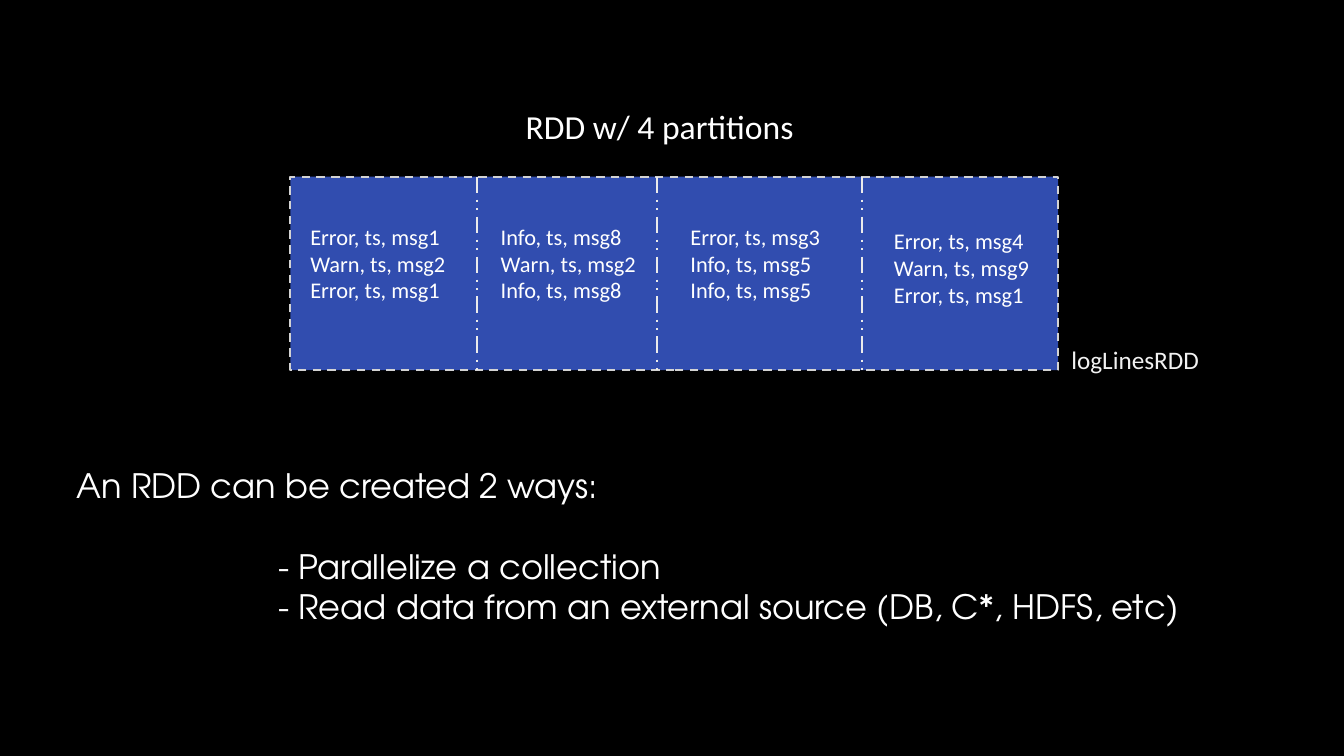
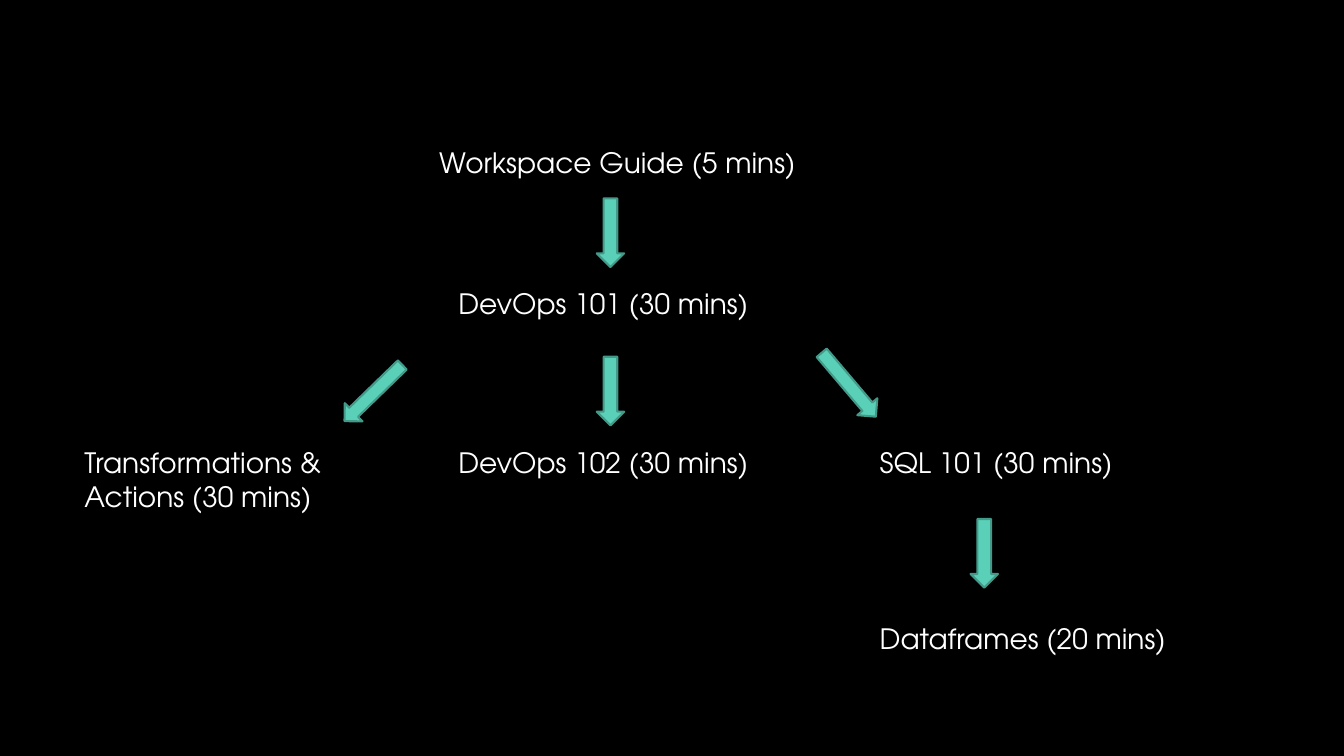
from pptx import Presentation
from pptx.dml.color import RGBColor
from pptx.enum.dml import MSO_LINE_DASH_STYLE as Dash
from pptx.enum.shapes import MSO_CONNECTOR as Connector, MSO_SHAPE as Shape
from pptx.enum.text import MSO_AUTO_SIZE as AutoSize
from pptx.oxml.ns import qn
from pptx.util import Cm, Pt
from lxml.etree import SubElement

COLORS = {
    "background": "000000", "text": "FFFFFF", "name": "F2F2F2",
    "rdd": "314DAF", "rdd_line": "D3D3D3", "divider": "EBEBEB",
    "arrow": "5AD0B8", "arrow_line": "439A88",
}
FORMATS = {
    "heading": {"name": "Calibri", "size": Pt(24)},
    "record": {"name": "Calibri", "size": Pt(16)},
    "name": {"name": "Calibri", "size": Pt(18)},
    "body": {"name": "TeX Gyre Adventor", "size": Pt(24)},
    "step": {"name": "TeX Gyre Adventor", "size": Pt(20)},
}

RDD = (7.32, 4.45, 19.35, 4.88)
DIVIDERS = [12.01, 16.56, 21.72]
PARTITIONS = [
    (7.57, 5.49, ["Error, ts, msg1", "Warn, ts, msg2", "Error, ts, msg1"]),
    (12.37, 5.49, ["Info, ts, msg8", "Warn, ts, msg2", "Info, ts, msg8"]),
    (17.15, 5.49, ["Error, ts, msg3", "Info, ts, msg5", "Info, ts, msg5"]),
    (22.28, 5.61, ["Error, ts, msg4", "Warn, ts, msg9", "Error, ts, msg1"]),
]
WAYS_TITLE = "An RDD can be created 2 ways:"
WAYS = ["- Parallelize a collection", "- Read data from an external source (DB, C*, HDFS, etc)"]

STEPS = [
    (10.82, 3.53, ["Workspace Guide (5 mins)"]),
    (11.3, 7.09, ["DevOps 101 (30 mins)"]),
    (11.3, 11.1, ["DevOps 102 (30 mins)"]),
    (1.88, 11.1, ["Transformations &", "Actions (30 mins)"]),
    (21.92, 11.1, ["SQL 101 (30 mins)"]),
    (21.92, 15.54, ["Dataframes (20 mins)"]),
]
DOWN = (0.69, 1.73, 0)
ARROWS = [
    (15.04, 5, *DOWN),
    (15.04, 8.99, *DOWN),
    (24.46, 13.08, *DOWN),
    (9.09, 8.89, 0.64, 2.03, 45.8),
    (21.06, 8.64, 0.66, 2.11, 319.7),
]


def color(name):
    return RGBColor.from_string(COLORS[name])


def set_line(line, line_color, dash=None):
    line.color.rgb = color(line_color)
    for attribute, value in {"width": Pt(1.5), "dash_style": dash}.items():
        setattr(line, attribute, value)


def add_text(slide, left, top, width, height, lines, style, text_color="text"):
    box = slide.shapes.add_textbox(Cm(left), Cm(top), Cm(width), Cm(height))
    frame = box.text_frame
    frame.word_wrap = True
    frame.auto_size = AutoSize.SHAPE_TO_FIT_TEXT
    frame.text = "\n".join(lines)
    for paragraph in frame.paragraphs:
        for run in paragraph.runs:
            for attribute, value in FORMATS[style].items():
                setattr(run.font, attribute, value)
            run.font.color.rgb = color(text_color)
    return frame.paragraphs


def add_block(slide, preset, left, top, width, height, fill, line, dash=None):
    shape = slide.shapes.add_shape(preset, Cm(left), Cm(top), Cm(width), Cm(height))
    shape.shadow.inherit = False
    shape.fill.solid()
    shape.fill.fore_color.rgb = color(fill)
    set_line(shape.line, line, dash)
    return shape


def add_divider(slide, x, top, bottom):
    divider = slide.shapes.add_connector(Connector.STRAIGHT, Cm(x), Cm(top), Cm(x), Cm(bottom))
    set_line(divider.line, "divider", Dash.DASH_DOT_DOT)
    SubElement(divider._element.spPr, qn("a:effectLst"))


def build_rdd(slide):
    add_block(slide, Shape.RECTANGLE, *RDD, "rdd", "rdd_line", Dash.DASH)
    top, height = RDD[1], RDD[3]
    for x in DIVIDERS:
        add_divider(slide, x, top, top + height)
    for left, record_top, records in PARTITIONS:
        add_text(slide, left, record_top, 4.14, 2.31, records, "record")
    add_text(slide, 13, 2.54, 8.31, 1.27, ["RDD w/ 4 partitions"], "heading")
    add_text(slide, 26.75, 8.56, 4.06, 1.02, ["logLinesRDD"], "name", "name")
    paragraphs = add_text(slide, 1.68, 11.58, 30.96, 4.37, [WAYS_TITLE, *WAYS], "body")
    for paragraph in paragraphs[1:]:
        paragraph._p.get_or_add_pPr().set("marL", str(Cm(5.08)))
    paragraphs[1].space_before = Pt(29)


def build_agenda(slide):
    for left, top, lines in STEPS:
        add_text(slide, left, top, 10.59, 0.27 + 0.85 * len(lines), lines, "step")
    for left, top, width, height, rotation in ARROWS:
        arrow = add_block(slide, Shape.DOWN_ARROW, left, top, width, height, "arrow", "arrow_line")
        arrow.rotation = rotation


def main():
    presentation = Presentation()
    presentation.slide_width = Cm(33.87)
    presentation.slide_height = Cm(19.05)
    background = presentation.slide_master.background.fill
    background.solid()
    background.fore_color.rgb = color("background")
    for build in (build_rdd, build_agenda):
        build(presentation.slides.add_slide(presentation.slide_layouts[6]))
    presentation.save("out.pptx")


if __name__ == "__main__":
    main()
